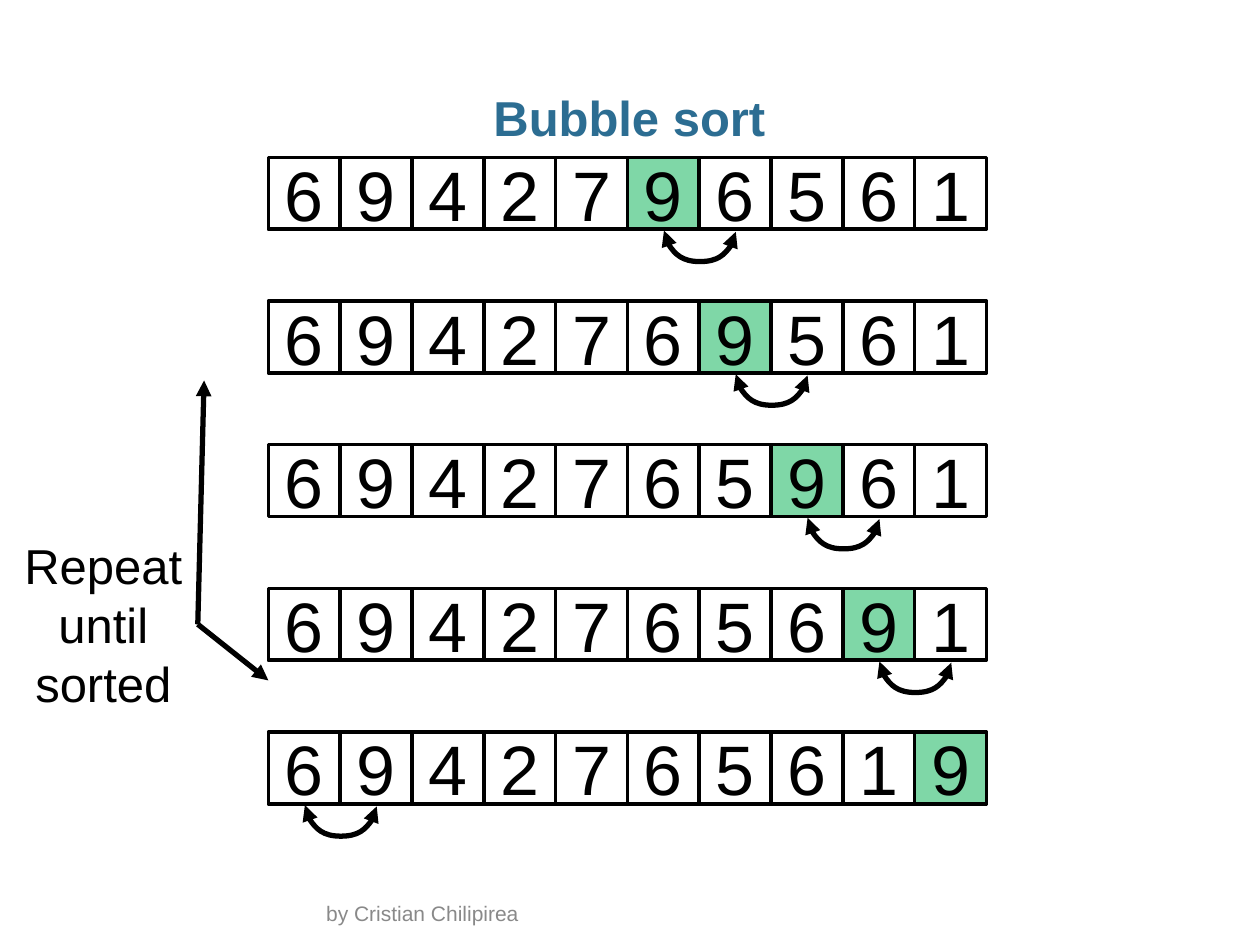
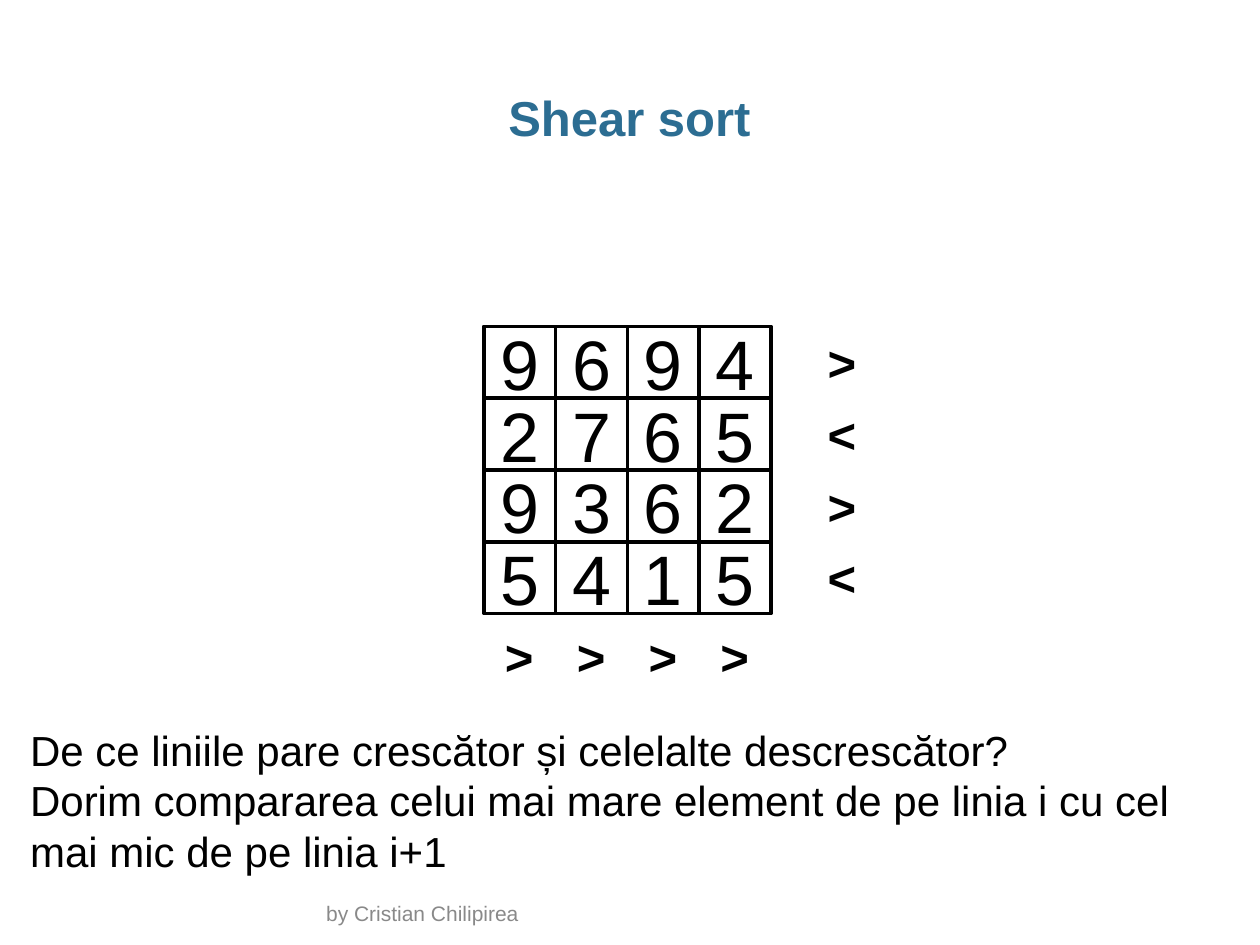
from pptx import Presentation
from pptx.dml.color import RGBColor
from pptx.enum.shapes import MSO_CONNECTOR as Link, MSO_SHAPE as Shape
from pptx.enum.text import MSO_ANCHOR as Anchor, MSO_AUTO_SIZE as Fit, PP_ALIGN as Align
from pptx.oxml.ns import qn
from pptx.util import Inches, Pt
from lxml.etree import SubElement

BLACK = RGBColor(0x00, 0x00, 0x00)
BLUE = RGBColor(0x2C, 0x6D, 0x92)
GREEN = RGBColor(0x00, 0xB0, 0x50)
GRAY = RGBColor(0x89, 0x89, 0x89)
FONT = "Arial"
SIDE = 0.57  # side of a number cell


def write(shape, text, size=28, color=BLACK, bold=False, align=Align.LEFT,
          anchor=Anchor.TOP, wrap=True, space=None):
    frame = shape.text_frame
    frame.text = text
    frame.word_wrap = wrap
    frame.auto_size = Fit.NONE
    frame.vertical_anchor = anchor
    for para in frame.paragraphs:
        para.alignment = align
        para.line_spacing = space
        for run in para.runs:
            font = run.font
            font.name, font.size, font.bold = FONT, Pt(size), bold
            font.color.rgb = color
    return shape


def draw_cell(slide, x, y, num, lit=False):
    cell = slide.shapes.add_shape(Shape.RECTANGLE, Inches(x), Inches(y),
                                  Inches(SIDE), Inches(SIDE))
    cell.shadow.inherit = False
    cell.line.color.rgb = BLACK
    cell.line.width = Pt(2)
    if lit:
        cell.fill.solid()
        cell.fill.fore_color.rgb = GREEN
        tint = cell.fill._xPr.find(".//" + qn("a:srgbClr"))
        SubElement(tint, qn("a:alpha"), val="50000")
    else:
        cell.fill.background()
    write(cell, str(num), size=40, align=Align.CENTER, anchor=Anchor.MIDDLE)


deck = Presentation()
deck.slide_width, deck.slide_height = Inches(10), Inches(7.5)

# Title and footer of both slides
slides = []
for name in ("Bubble sort", "Shear sort"):
    slide = deck.slides.add_slide(deck.slide_layouts[5])
    title = slide.shapes.title
    title.left, title.top = Inches(0.34), Inches(0.68)
    title.width, title.height = Inches(9.31), Inches(0.5)
    write(title, name, color=BLUE, bold=True, align=Align.CENTER, space=0.95)
    title.text_frame.margin_left = title.text_frame.margin_right = 0
    foot = slide.shapes.add_textbox(Inches(2.49), Inches(7.16),
                                    Inches(5.02), Inches(0.24))
    write(foot, "by Cristian Chilipirea", size=12, color=GRAY, anchor=Anchor.BOTTOM)
    slides.append(slide)
bubble, shear = slides

# Bubble sort: the lit 9 moves one place right in each row
nums = [6, 9, 4, 2, 7, 9, 6, 5, 6, 1]
left = 2.13
arrows = []
for row, pos in enumerate(range(5, 10)):
    y = 1.25 + 1.14 * row
    for col, num in enumerate(nums):
        draw_cell(bubble, left + SIDE * col, y, num, lit=col == pos)

    # Swap arc: a thin upright curve, turned to hang below two cells
    first = pos if pos < 9 else 0
    mid = left + SIDE * (first + 1)
    arc = bubble.shapes.add_connector(Link.CURVE, Inches(mid + 0.01), Inches(y + 0.3),
                                      Inches(mid), Inches(y + 0.3 + SIDE))
    geom = arc._element.spPr
    geom.find(qn("a:xfrm")).set("rot", str(270 * 60000))
    SubElement(geom.find(".//" + qn("a:avLst")), qn("a:gd"),
               name="adj1", fmla="val 2500000")
    arrows.append((arc, ("headEnd", "tailEnd")))

    if pos < 9:
        nums[pos], nums[pos + 1] = nums[pos + 1], nums[pos]

# Repeat note with its two arrows
note = bubble.shapes.add_textbox(Inches(0.07), Inches(4.2), Inches(1.5), Inches(1.51))
write(note, "Repeat until sorted", align=Align.CENTER)
for x, y in ((2.13, 5.4), (1.62, 3.02)):
    line = bubble.shapes.add_connector(Link.STRAIGHT, Inches(1.57), Inches(4.95),
                                       Inches(x), Inches(y))
    line.begin_connect(note, 3)
    arrows.append((line, ("tailEnd",)))

# Arrow style
for line, ends in arrows:
    line.line.color.rgb = BLACK
    line.line.width = Pt(3)
    stroke = line.line._get_or_add_ln()
    for end in ends:
        SubElement(stroke, qn("a:" + end), type="triangle")
    SubElement(line._element.spPr, qn("a:effectLst"))

# Shear sort: number grid
left, top = 3.84, 2.59
grid = ((9, 6, 9, 4), (2, 7, 6, 5), (9, 3, 6, 2), (5, 4, 1, 5))
for row, nums in enumerate(grid):
    for col, num in enumerate(nums):
        draw_cell(shear, left + SIDE * col, top + SIDE * row, num)

# Sort order of each column and row
marks = [(left + 0.07 + SIDE * col, 4.92, ">") for col in range(4)]
marks += [(6.47, top + SIDE * row, sign) for row, sign in enumerate("><><")]
for x, y, sign in marks:
    mark = shear.shapes.add_textbox(Inches(x), Inches(y), Inches(0.43), Inches(SIDE))
    write(mark, sign, bold=True, wrap=False)

# Question and answer
talk = shear.shapes.add_textbox(Inches(0.14), Inches(5.7), Inches(9.52), Inches(1.31))
write(talk, "De ce liniile pare crescător și celelalte descrescător?\n"
      "Dorim compararea celui mai mare element de pe linia i cu cel "
      "mai mic de pe linia i+1", size=24)

deck.save("out.pptx")
